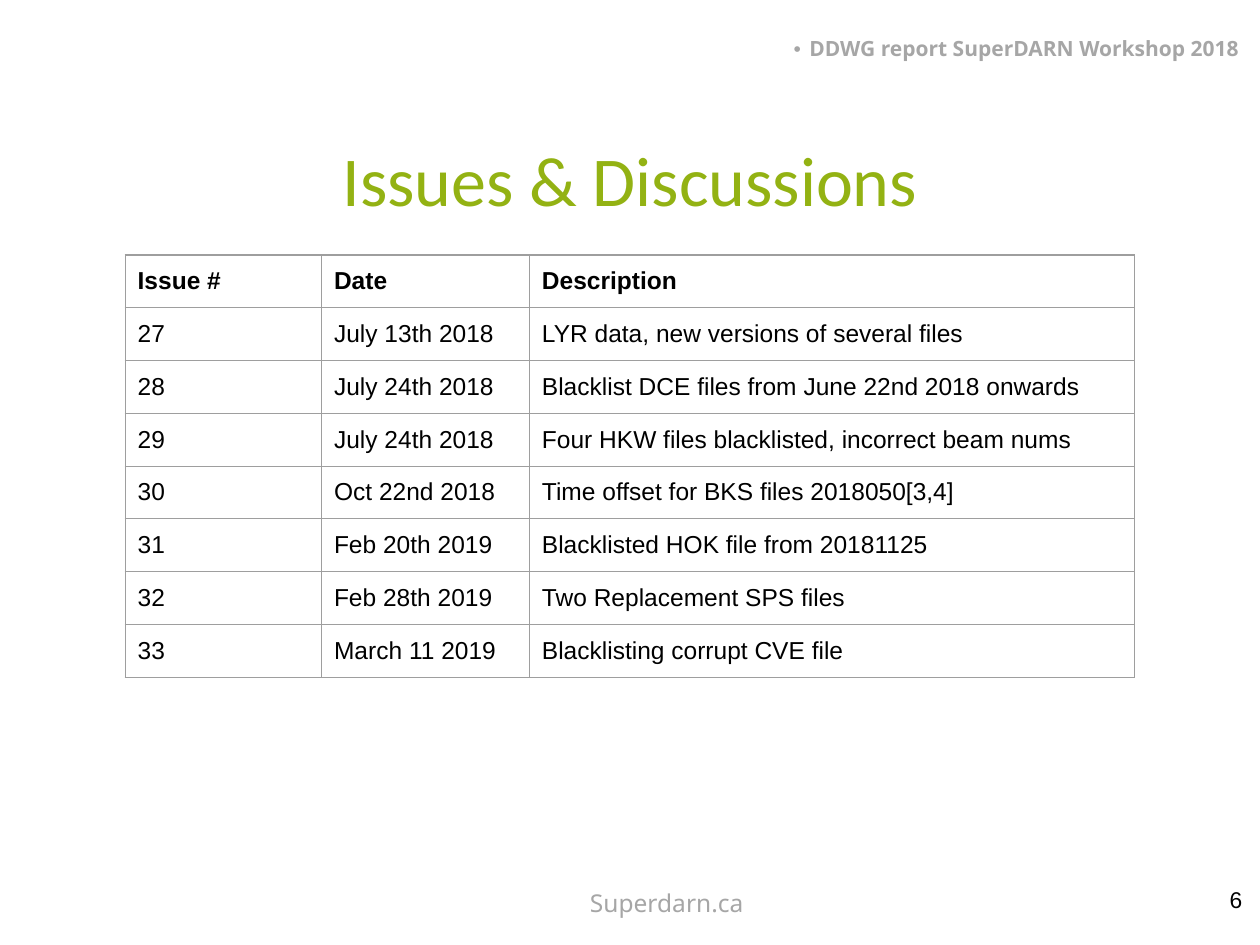
from pptx import Presentation
from pptx import util as u
from pptx.dml import color
from pptx.enum import text
from pptx.oxml import parse_xml
from pptx.oxml.ns import nsdecls

GREY = "A6A6A6"
GREEN = "93B213"
BLACK = "000000"
BORDER = "9E9E9E"

ISSUES = [
    ("Issue #", "Date", "Description"),
    ("27", "July 13th 2018", "LYR data, new versions of several files"),
    ("28", "July 24th 2018", "Blacklist DCE files from June 22nd 2018 onwards"),
    ("29", "July 24th 2018", "Four HKW files blacklisted, incorrect beam nums"),
    ("30", "Oct 22nd 2018", "Time offset for BKS files 2018050[3,4]"),
    ("31", "Feb 20th 2019", "Blacklisted HOK file from 20181125"),
    ("32", "Feb 28th 2019", "Two Replacement SPS files"),
    ("33", "March 11 2019", "Blacklisting corrupt CVE file"),
]


def rgb(hex_code):
    return color.RGBColor.from_string(hex_code)


def place(part, box):
    part.left, part.top, part.width, part.height = (u.Pt(v) for v in box)


def set_insets(part, side, end):
    part.margin_left = part.margin_right = u.Pt(side)
    part.margin_top = part.margin_bottom = u.Pt(end)


def write(frame, words, size, font, ink, align=text.PP_ALIGN.LEFT, bold=False):
    paragraph = frame.paragraphs[0]
    paragraph.alignment = align
    run = paragraph.add_run()
    run.text = words
    run.font.size = u.Pt(size)
    run.font.name = font
    run.font.bold = bold
    run.font.color.rgb = rgb(ink)
    return paragraph


def prepare(part, box, side, end, anchor=text.MSO_ANCHOR.TOP):
    place(part, box)
    frame = part.text_frame
    frame.word_wrap = True
    frame.auto_size = text.MSO_AUTO_SIZE.NONE
    frame.vertical_anchor = anchor
    set_insets(frame, side, end)
    return frame


def add_header(slide, box):
    frame = prepare(slide.placeholders[1], box, 0, 3.6)
    report = write(frame, "DDWG report SuperDARN Workshop 2018", 12,
                   "Noto Sans", GREY, text.PP_ALIGN.RIGHT, True)
    report.line_spacing = 0.95
    report.space_before = u.Pt(0)
    props = report._p.get_or_add_pPr()
    props.set("marL", str(u.Pt(9)))
    props.set("indent", str(u.Pt(-9)))
    ns = nsdecls("a")
    props.append(parse_xml(f'<a:buClr {ns}><a:srgbClr val="{GREY}"/></a:buClr>'))
    props.append(parse_xml(f'<a:buChar {ns} char="•"/>'))


def add_title(slide, box):
    frame = prepare(slide.shapes.title, box, 7.2, 3.6, text.MSO_ANCHOR.MIDDLE)
    write(frame, "Issues & Discussions", 40, "Calibri", GREEN,
          text.PP_ALIGN.CENTER)


def add_footer(slide, site_box, number_box):
    site = slide.shapes.add_textbox(0, 0, 0, 0)
    write(prepare(site, site_box, 0, 3.6), "Superdarn.ca", 14, "Noto Sans",
          GREY, text.PP_ALIGN.CENTER)
    number = slide.shapes.add_textbox(0, 0, 0, 0)
    write(prepare(number, number_box, 7.2, 7.2), "6", 13, "Arial",
          BLACK, text.PP_ALIGN.RIGHT)


def add_borders(cell):
    props = cell._tc.get_or_add_tcPr()
    for side in ("lnL", "lnR", "lnT", "lnB"):
        props.append(parse_xml(
            f'<a:{side} {nsdecls("a")} w="{u.Pt(0.75)}"><a:solidFill>'
            f'<a:srgbClr val="{BORDER}"/></a:solidFill></a:{side}>'))


def add_issue_table(slide, left, top, widths, row_height):
    height = row_height * len(ISSUES)
    table = slide.shapes.add_table(
        len(ISSUES), len(widths), u.Pt(left), u.Pt(top),
        u.Pt(sum(widths)), u.Pt(height)).table
    table.horz_banding = False
    for column, width in zip(table.columns, widths):
        column.width = u.Pt(width)
    for r, issue in enumerate(ISSUES):
        table.rows[r].height = u.Pt(row_height)
        for c, words in enumerate(issue):
            cell = table.cell(r, c)
            set_insets(cell, 7.2, 7.2)
            add_borders(cell)
            cell.fill.background()
            write(cell.text_frame, words, 14, "Arial", BLACK, bold=r == 0)


def main():
    deck = Presentation()
    deck.slide_width, deck.slide_height = u.Pt(720), u.Pt(540)
    slide = deck.slides.add_slide(deck.slide_layouts[1])
    add_header(slide, (138, 18, 570, 24))
    add_title(slide, (0, 78, 720, 48))
    add_footer(slide, (54, 504, 654, 24), (674, 499, 43, 41))
    add_issue_table(slide, 71.5, 145.7, (112.2, 118.8, 345.6), 30.1)
    deck.save("out.pptx")


if __name__ == "__main__":
    main()
